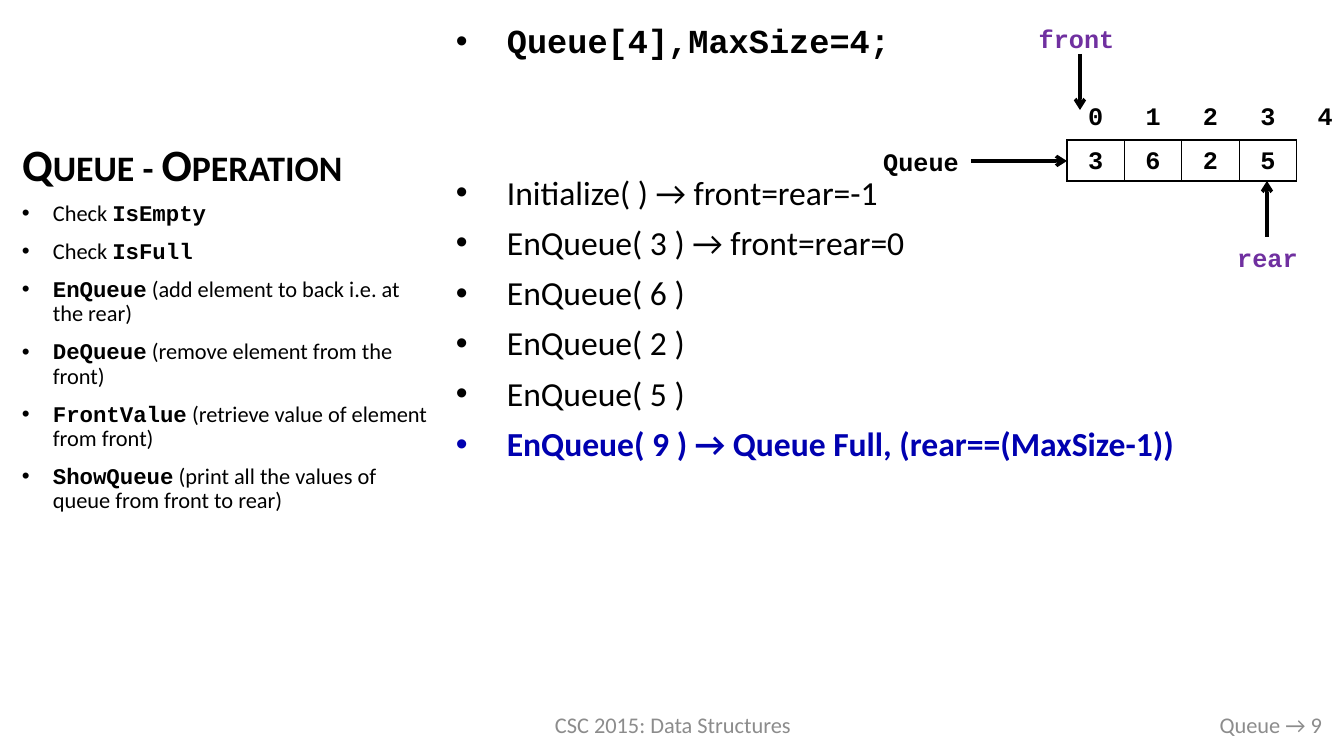
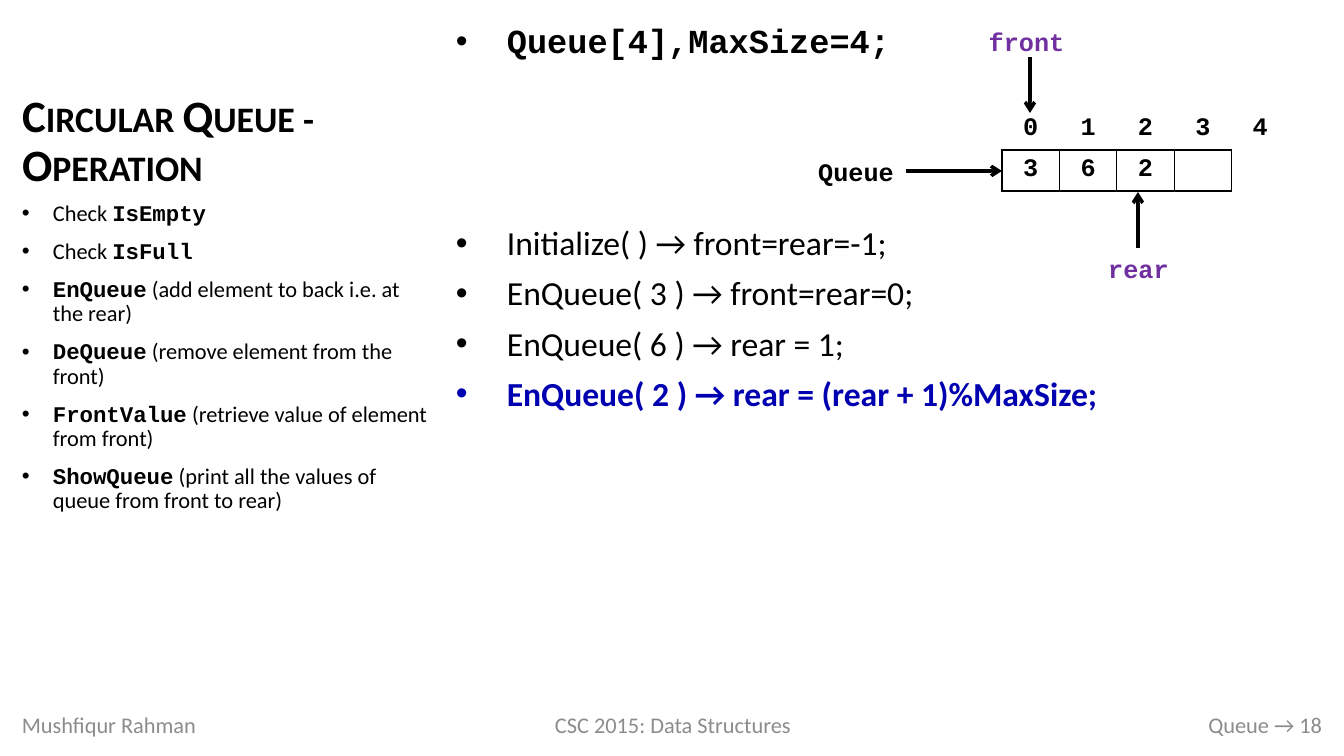
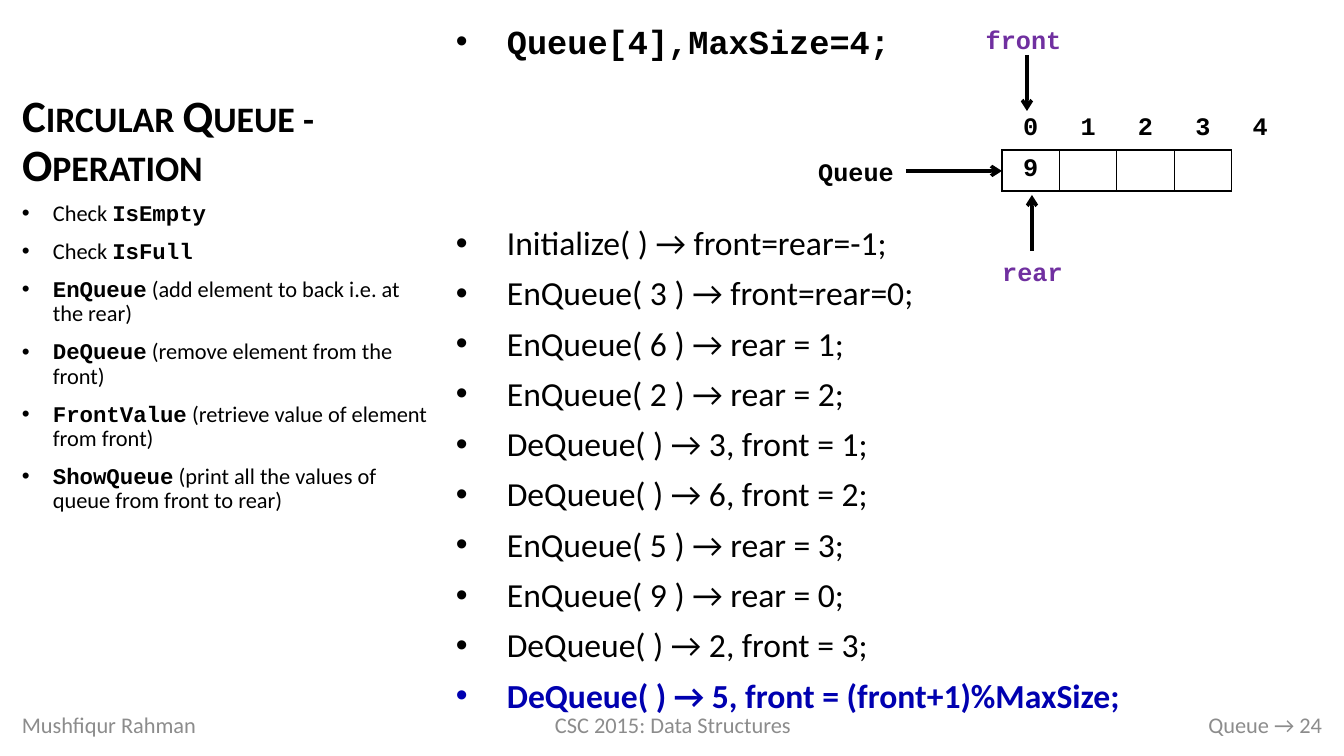
from pptx import Presentation
from pptx.dml.color import RGBColor
from pptx.enum.shapes import MSO_CONNECTOR
from pptx.enum.text import MSO_ANCHOR, MSO_AUTO_SIZE, PP_ALIGN
from pptx.oxml.ns import qn
from pptx.util import Emu, Pt
from lxml import etree

# Content
COURSE = "CSC 2015: Data Structures"
DECLARATION = "Queue[4],MaxSize=4;"
OPERATIONS = [
    ("Check ", "IsEmpty", ""),
    ("Check ", "IsFull", ""),
    ("", "EnQueue", " (add element to back i.e. at the rear)"),
    ("", "DeQueue", " (remove element from the front)"),
    ("", "FrontValue", " (retrieve value of element from front)"),
    ("", "ShowQueue", " (print all the values of queue from front to rear)"),
]
CIRCULAR_START = [
    "Initialize( ) → front=rear=-1;",
    "EnQueue( 3 ) → front=rear=0;",
    "EnQueue( 6 ) → rear = 1;",
]
# front and rear give the x and y of the arrow tips
SLIDES = [
    {
        "title": "Queue - Operation", "author": "", "number": 9,
        "steps": ["Initialize( ) → front=rear=-1", "EnQueue( 3 ) → front=rear=0",
                  "EnQueue( 6 )", "EnQueue( 2 )", "EnQueue( 5 )",
                  "EnQueue( 9 ) → Queue Full, (rear==(MaxSize-1))"],
        "gap_lines": 2, "steps_height": 681,
        "table": (1067, 99), "values": "", "overlaid_values": "3625",
        "front": (1080, 110), "rear": (1267, 181),
    },
    {
        "title": "Circular Queue - Operation", "author": "Mushfiqur Rahman", "number": 18,
        "steps": CIRCULAR_START + ["EnQueue( 2 ) → rear = (rear + 1)%MaxSize;"],
        "gap_lines": 3, "steps_height": 681,
        "table": (1002, 109), "values": "362", "overlaid_values": "",
        "front": (1030, 113), "rear": (1138, 192),
    },
    {
        "title": "Circular Queue - Operation", "author": "Mushfiqur Rahman", "number": 24,
        "steps": CIRCULAR_START + [
            "EnQueue( 2 ) → rear = 2;", "DeQueue( ) → 3, front = 1;",
            "DeQueue( ) → 6, front = 2;", "EnQueue( 5 ) → rear = 3;",
            "EnQueue( 9 ) → rear = 0;", "DeQueue( ) → 2, front = 3;",
            "DeQueue( ) → 5, front = (front+1)%MaxSize;"],
        "gap_lines": 3, "steps_height": 725,
        "table": (1002, 109), "values": "9", "overlaid_values": "",
        "front": (1027, 111), "rear": (1032, 195),
    },
]

# Shared style
SANS, MONO = "Calibri", "Courier New"
BLACK, BLUE, PURPLE, GREY = "000000", "0000B0", "7030A0", "8C8C8C"
LEFT, CENTER, RIGHT = PP_ALIGN.LEFT, PP_ALIGN.CENTER, PP_ALIGN.RIGHT
TOP, MIDDLE = MSO_ANCHOR.TOP, MSO_ANCHOR.MIDDLE
CAPACITY = 4
COLUMN, ROW = 287 / 5, 41
LABEL_HEIGHT, ARROW_LENGTH = 40, 56


def px(length):
    return Emu(round(length * 914400 / 100.8))


def color(value):
    return RGBColor.from_string(value)


def style(run, size, font=SANS, fill=BLACK, bold=False):
    run.font.size = Pt(size)
    run.font.name = font
    run.font.bold = bold
    run.font.color.rgb = color(fill)


def add_box(slide, left, top, width, height, anchor=TOP):
    shape = slide.shapes.add_textbox(px(left), px(top), px(width), px(height))
    shape.text_frame.word_wrap = True
    shape.text_frame.vertical_anchor = anchor
    return shape.text_frame


def add_label(slide, text, area, size, align=CENTER, anchor=TOP, **look):
    paragraph = add_box(slide, *area, anchor).paragraphs[0]
    paragraph.text = text
    paragraph.alignment = align
    style(paragraph.runs[0], size, **look)


def add_code_label(slide, text, area, fill=BLACK, anchor=TOP):
    add_label(slide, text, area, 18, anchor=anchor, font=MONO, fill=fill, bold=True)


def add_arrow(slide, x1, y1, x2, y2):
    connector = slide.shapes.add_connector(
        MSO_CONNECTOR.STRAIGHT, px(x1), px(y1), px(x2), px(y2))
    connector.line.color.rgb = color(BLACK)
    connector.line.width = Pt(2.5)
    etree.SubElement(connector.line._get_or_add_ln(), qn("a:tailEnd"), type="arrow")
    etree.SubElement(connector._element.spPr, qn("a:effectLst"))


def add_bullet(paragraph, indent, space_before=10):
    paragraph.line_spacing = 0.9
    paragraph.space_before = Pt(space_before)
    properties = paragraph._p.get_or_add_pPr()
    properties.set("marL", str(px(indent)))
    properties.set("indent", str(-px(indent)))
    etree.SubElement(properties, qn("a:buFont"), typeface="Arial")
    etree.SubElement(properties, qn("a:buChar"), char="•")


def next_paragraph(frame, index):
    return frame.add_paragraph() if index else frame.paragraphs[0]


def add_title(slide, text):
    title = slide.shapes.title
    title.left, title.top, title.width, title.height = px(12), px(20), px(433), px(176)
    frame = title.text_frame
    frame.text = text
    frame.auto_size = MSO_AUTO_SIZE.NONE
    frame.vertical_anchor = MSO_ANCHOR.BOTTOM
    paragraph = frame.paragraphs[0]
    paragraph.alignment = LEFT
    paragraph.line_spacing = 0.9
    run = paragraph.runs[0]
    style(run, 32, bold=True)
    run._r.get_or_add_rPr().set("cap", "small")


def add_operations(slide):
    frame = add_box(slide, 12, 197, 433, 505)
    for index, parts in enumerate(OPERATIONS):
        paragraph = next_paragraph(frame, index)
        add_bullet(paragraph, 31)
        for text, font in zip(parts, (SANS, MONO, SANS)):
            if text:
                run = paragraph.add_run()
                run.text = text
                style(run, 16, font, bold=font == MONO)


def add_steps(slide, steps, gap_lines, height):
    frame = add_box(slide, 446, 20, 853, height)
    lines = [DECLARATION] + steps
    for index, text in enumerate(lines):
        paragraph = next_paragraph(frame, index)
        paragraph.text = text
        add_bullet(paragraph, 51, 10 + 36 * gap_lines if index == 1 else 10)
        run = paragraph.runs[0]
        if index == 0:
            style(run, 24, MONO, bold=True)
        elif index == len(lines) - 1:
            style(run, 24, fill=BLUE, bold=True)
        else:
            style(run, 24)


def set_borders(cell, sides):
    properties = cell._tc.get_or_add_tcPr()
    for position, side in enumerate("LRTB"):
        line = etree.Element(qn("a:ln" + side), w=str(Pt(1)))
        if side in sides:
            fill = etree.SubElement(line, qn("a:solidFill"))
            etree.SubElement(fill, qn("a:srgbClr"), val=BLACK)
        else:
            etree.SubElement(line, qn("a:noFill"))
        properties.insert(position, line)


def add_queue_table(slide, left, top, values):
    columns = CAPACITY + 1
    table = slide.shapes.add_table(
        2, columns, px(left), px(top), px(COLUMN * columns), px(ROW * 2)).table
    table.first_row = table.horz_banding = False
    for row in table.rows:
        row.height = px(ROW)
    for index in range(columns):
        table.columns[index].width = px(COLUMN)
        inside = index < CAPACITY
        value = values[index] if index < len(values) else ""
        cells = [(str(index), "B" if inside else ""), (value, "LRTB" if inside else "L")]
        for row, (text, sides) in enumerate(cells):
            cell = table.cell(row, index)
            cell.fill.background()
            set_borders(cell, sides)
            paragraph = cell.text_frame.paragraphs[0]
            paragraph.text = text
            paragraph.alignment = CENTER
            paragraph.font.size = Pt(18)
            for run in paragraph.runs:
                style(run, 18, MONO, bold=True)


def add_diagram(slide, content):
    left, top = content["table"]
    add_queue_table(slide, left, top, content["values"])
    for index, value in enumerate(content["overlaid_values"]):
        add_code_label(slide, value, (left + index * COLUMN, top + 40, COLUMN, LABEL_HEIGHT),
                       anchor=MIDDLE)

    # Pointers to the ends of the queue
    x, y = content["rear"]
    start = y + ARROW_LENGTH
    add_code_label(slide, "rear", (x - 42, start, 85, LABEL_HEIGHT), PURPLE)
    add_arrow(slide, x, start, x, y)
    x, y = content["front"]
    start = y - ARROW_LENGTH
    add_code_label(slide, "front", (x - 55, start - 36, 103, 72), PURPLE)
    add_arrow(slide, x, start, x, y)

    # Name of the array
    add_code_label(slide, "Queue", (left - 196, top + 42, 100, LABEL_HEIGHT))
    add_arrow(slide, left - 96, top + 62, left, top + 62)


def add_footer(slide, author, number):
    footers = [
        (author, 12, 302, LEFT),
        (COURSE, 446, 454, CENTER),
        (f"Queue → {number}", 950, 382, RIGHT),
    ]
    for text, left, width, align in footers:
        if text:
            add_label(slide, text, (left, 705, width, 40), 16, align, MIDDLE, fill=GREY)


# Build the slides
presentation = Presentation()
presentation.slide_width, presentation.slide_height = px(1344), px(756)
title_only = presentation.slide_layouts[5]
for content in SLIDES:
    slide = presentation.slides.add_slide(title_only)
    add_title(slide, content["title"])
    add_steps(slide, content["steps"], content["gap_lines"], content["steps_height"])
    add_operations(slide)
    add_footer(slide, content["author"], content["number"])
    add_diagram(slide, content)
presentation.save("out.pptx")
